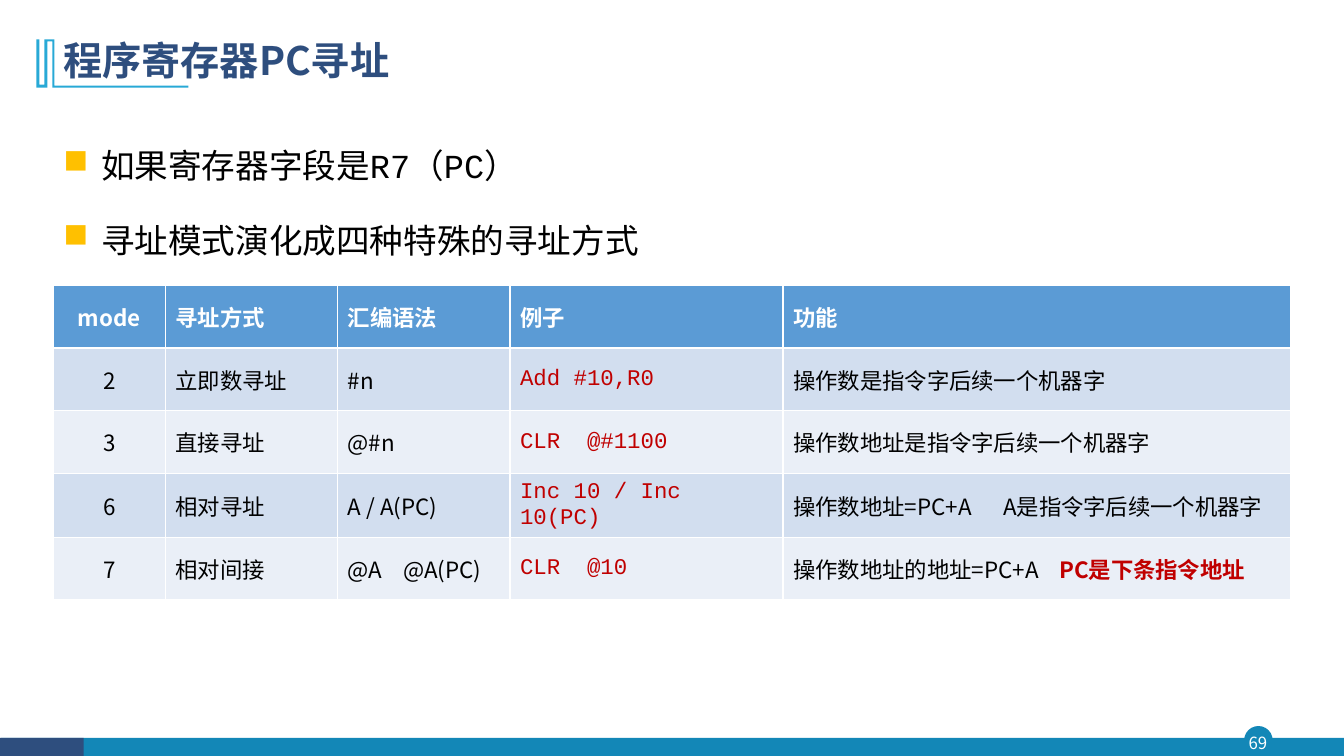
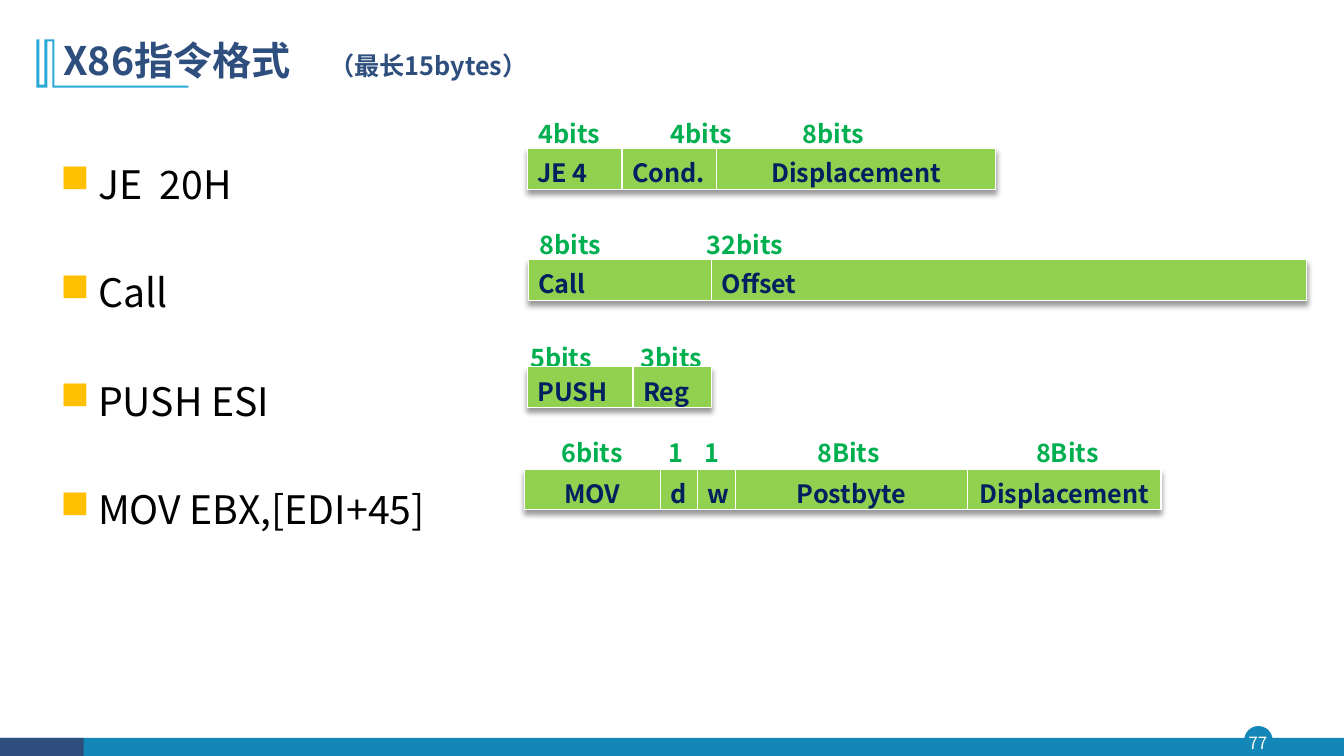
from lxml.etree import SubElement
from pptx import Presentation
from pptx.dml.color import RGBColor
from pptx.enum.shapes import MSO_SHAPE as Shape
from pptx.enum.text import MSO_ANCHOR as Anchor, PP_ALIGN as Align
from pptx.oxml import parse_xml
from pptx.oxml.ns import nsdecls, qn
from pptx.util import Pt

SANS = "Noto Sans CJK SC"
MONO = "Courier New"
NAVY, TEAL, SKY = "2E4E7E", "1387B7", "28A9D6"
BLACK, WHITE, RED, AMBER = "000000", "FFFFFF", "C00000", "FFC000"
GREEN, LIME, INK = "00B050", "92D050", "002060"
HEADER_BLUE, BANDS = "5B9BD5", ("EAEFF7", "D2DEEF")


def color(hex_string):
    return RGBColor.from_string(hex_string)


def write(paragraph, text, size=16, fill=BLACK, font=SANS, bold=False,
          align=None, spacing=None, before=None, bullet=False, tab=None):
    if align is not None:
        paragraph.alignment = align
    if spacing is not None:
        paragraph.line_spacing = spacing
    if before is not None:
        paragraph.space_before = Pt(before)
    properties = paragraph._p.get_or_add_pPr()
    if bullet:
        properties.set("marL", str(Pt(27)))
        properties.set("indent", str(-Pt(27)))
        bullet_color = SubElement(properties, qn("a:buClr"))
        SubElement(bullet_color, qn("a:srgbClr"), val=AMBER)
        SubElement(properties, qn("a:buFont"), typeface="Wingdings", charset="2")
        SubElement(properties, qn("a:buChar"), char="n")
    if tab is not None:
        tabs = SubElement(properties, qn("a:tabLst"))
        SubElement(tabs, qn("a:tab"), pos=str(Pt(tab)), algn="l")
    run = paragraph.add_run()
    run.text = text
    run.font.name = font
    run.font.size = Pt(size)
    run.font.bold = bold
    run.font.color.rgb = color(fill)
    SubElement(run._r.get_or_add_rPr(), qn("a:ea"), typeface=SANS)


presentation = Presentation()
presentation.slide_width, presentation.slide_height = Pt(960), Pt(540)

TITLE_MARK = [
    (38.9, 28.1), (38.9, 61.2), (134.6, 61.2), (134.6, 62.6), (37.4, 62.6),
    (37.4, 29.5), (33.8, 29.5), (33.8, 62.6), (25.9, 62.6), (25.9, 28.1),
    (28.1, 28.1), (28.1, 60.5), (31.7, 60.5), (31.7, 28.1),
]
FOOTER = [
    (Shape.OVAL, 889.2, 519.1, 19.4, 19.4, TEAL),
    (Shape.RECTANGLE, 0.7, 527, 959.3, 13.4, TEAL),
    (Shape.RECTANGLE, 0, 527, 59.8, 13.4, NAVY),
]
PAGES = [
    {
        "number": "69", "title": [("程序寄存器PC寻址", 28)],
        "body": ["如果寄存器字段是R7（PC）", "寻址模式演化成四种特殊的寻址方式"],
        "place": (38.2, 86, 828, 107), "font": MONO, "size": 24, "line": 43,
    },
    {
        "number": "77", "title": [("X86指令格式", 28), ("\t（最长15bytes）", 18)],
        "body": ["JE  20H", "Call", "PUSH ESI", "MOV EBX,[EDI+45]"],
        "place": (36, 77, 312.5, 356), "font": SANS, "size": 28, "line": 67.4,
    },
]

slides = []
for page in PAGES:
    slide = presentation.slides.add_slide(presentation.slide_layouts[6])
    slides.append(slide)
    for kind, left, top, width, height, fill in FOOTER:
        shape = slide.shapes.add_shape(kind, Pt(left), Pt(top), Pt(width), Pt(height))
        shape.shadow.inherit = False
        shape.fill.solid()
        shape.fill.fore_color.rgb = color(fill)
        if kind == Shape.OVAL:
            shape.line.color.rgb = color(fill)
            shape.line.width = Pt(1)
        else:
            shape.line.fill.background()

    number = slide.shapes.add_textbox(Pt(887), Pt(519.1), Pt(23), Pt(22.3))
    frame = number.text_frame
    frame.margin_left = frame.margin_right = frame.margin_top = frame.margin_bottom = 0
    frame.vertical_anchor = Anchor.MIDDLE
    frame.word_wrap = True
    write(frame.paragraphs[0], page["number"], size=12, fill=WHITE, align=Align.CENTER)

    corners = [(Pt(x), Pt(y)) for x, y in TITLE_MARK]
    builder = slide.shapes.build_freeform(*corners[0], scale=1.0)
    builder.add_line_segments(corners[1:], close=True)
    mark = builder.convert_to_shape()
    mark.shadow.inherit = False
    mark.fill.solid()
    mark.fill.fore_color.rgb = color(SKY)
    mark.line.fill.background()

    title = slide.shapes.add_textbox(Pt(38.2), Pt(20.2), Pt(828), Pt(49))
    frame = title.text_frame
    frame.word_wrap = True
    frame.vertical_anchor = Anchor.MIDDLE
    for text, size in page["title"]:
        write(frame.paragraphs[0], text, size=size, fill=NAVY, bold=True, spacing=0.9,
              tab=190 if text.startswith("\t") else None)

    body = slide.shapes.add_textbox(*[Pt(length) for length in page["place"]])
    frame = body.text_frame
    frame.word_wrap = True
    for index, text in enumerate(page["body"]):
        paragraph = frame.add_paragraph() if index else frame.paragraphs[0]
        write(paragraph, text, size=page["size"], font=page["font"], align=Align.JUSTIFY,
              spacing=Pt(page["line"]), before=10 if index else 0, bullet=True)

addressing_slide, format_slide = slides

ADDRESSING = [
    ["mode", "寻址方式", "汇编语法", "例子", "功能"],
    ["2", "立即数寻址", "#n", "Add #10,R0", "操作数是指令字后续一个机器字"],
    ["3", "直接寻址", "@#n", "CLR  @#1100", "操作数地址是指令字后续一个机器字"],
    ["6", "相对寻址", "A / A(PC)", "Inc 10 / Inc 10(PC)",
     "操作数地址=PC+A\tA是指令字后续一个机器字"],
    ["7", "相对间接", "@A\t@A(PC)", "CLR  @10", "操作数地址的地址=PC+A\t"],
]
TAB_STOPS = {(3, 4): 150, (4, 2): 39.6, (4, 4): 190}
table = addressing_slide.shapes.add_table(
    5, 5, Pt(38.2), Pt(203.8), Pt(883.4), Pt(224)).table
table.horz_banding = False
for column, width in zip(table.columns, (79.9, 123.1, 123.1, 195.1, 362.5)):
    column.width = Pt(width)
for row_index, row in enumerate(ADDRESSING):
    header = row_index == 0
    for column_index, text in enumerate(row):
        cell = table.cell(row_index, column_index)
        cell.vertical_anchor = Anchor.MIDDLE
        cell.fill.solid()
        cell.fill.fore_color.rgb = color(HEADER_BLUE if header else BANDS[row_index % 2])
        example = column_index == 3 and not header
        write(cell.text_frame.paragraphs[0], text, bold=header,
              fill=WHITE if header else RED if example else BLACK,
              font=MONO if example else SANS,
              align=Align.LEFT if column_index else Align.CENTER,
              tab=TAB_STOPS.get((row_index, column_index)))
write(table.cell(4, 4).text_frame.paragraphs[0], "PC是下条指令地址", fill=RED, bold=True)

STRIPS = [
    (377.3, 77.8, False, [("4bits", 94.5), ("4bits", 94.5), ("8bits", 94.5)]),
    (376.6, 106, True, [("JE 4", 67.7), ("Cond.", 67.7), ("Displacement", 199)]),
    (378, 157, False, [("8bits", 119.5), ("32bits", 361.4)]),
    (377.3, 185.2, True, [("Call", 131), ("Offset", 424.8)]),
    (371.5, 238.3, False, [("5bits", 79), ("3bits", 79)]),
    (376.6, 262, True, [("PUSH", 75.6), ("Reg", 56.2)]),
    (374.4, 335, True, [("MOV", 97.2), ("d", 26.6), ("w", 27.4),
                        ("Postbyte", 165.6), ("Displacement", 138.2)]),
]
CENTERED = {"Displacement", "MOV", "d", "w", "Postbyte"}
SHADOW = (
    f'<a:effectLst {nsdecls("a")}><a:outerShdw blurRad="50800" dist="38100" dir="5400000" '
    'algn="t" rotWithShape="0"><a:srgbClr val="000000"><a:alpha val="40000"/></a:srgbClr>'
    '</a:outerShdw></a:effectLst>'
)
for left, top, is_field, cells in STRIPS:
    total = sum(width for text, width in cells)
    table = format_slide.shapes.add_table(
        1, len(cells), Pt(left), Pt(top), Pt(total), Pt(29.2)).table
    table.horz_banding = False
    if is_field:
        table._tbl.tblPr.insert(0, parse_xml(SHADOW))
    for index, (text, width) in enumerate(cells):
        table.columns[index].width = Pt(width)
        cell = table.cell(0, index)
        cell.fill.solid()
        cell.fill.fore_color.rgb = color(LIME if is_field else WHITE)
        write(cell.text_frame.paragraphs[0], text, size=18, bold=True,
              fill=INK if is_field else GREEN,
              align=Align.CENTER if text in CENTERED else Align.LEFT)

MOV_SIZES = [("6bits", 393.8, 62.6), ("1", 470.2, 31), ("1", 496.1, 31),
             ("8Bits", 576.7, 77.8), ("8Bits", 733, 77.8)]
for text, left, width in MOV_SIZES:
    label = format_slide.shapes.add_textbox(Pt(left), Pt(308.9), Pt(width), Pt(29.1))
    label.text_frame.word_wrap = True
    write(label.text_frame.paragraphs[0], text, size=18, fill=GREEN, bold=True)

presentation.save("out.pptx")
